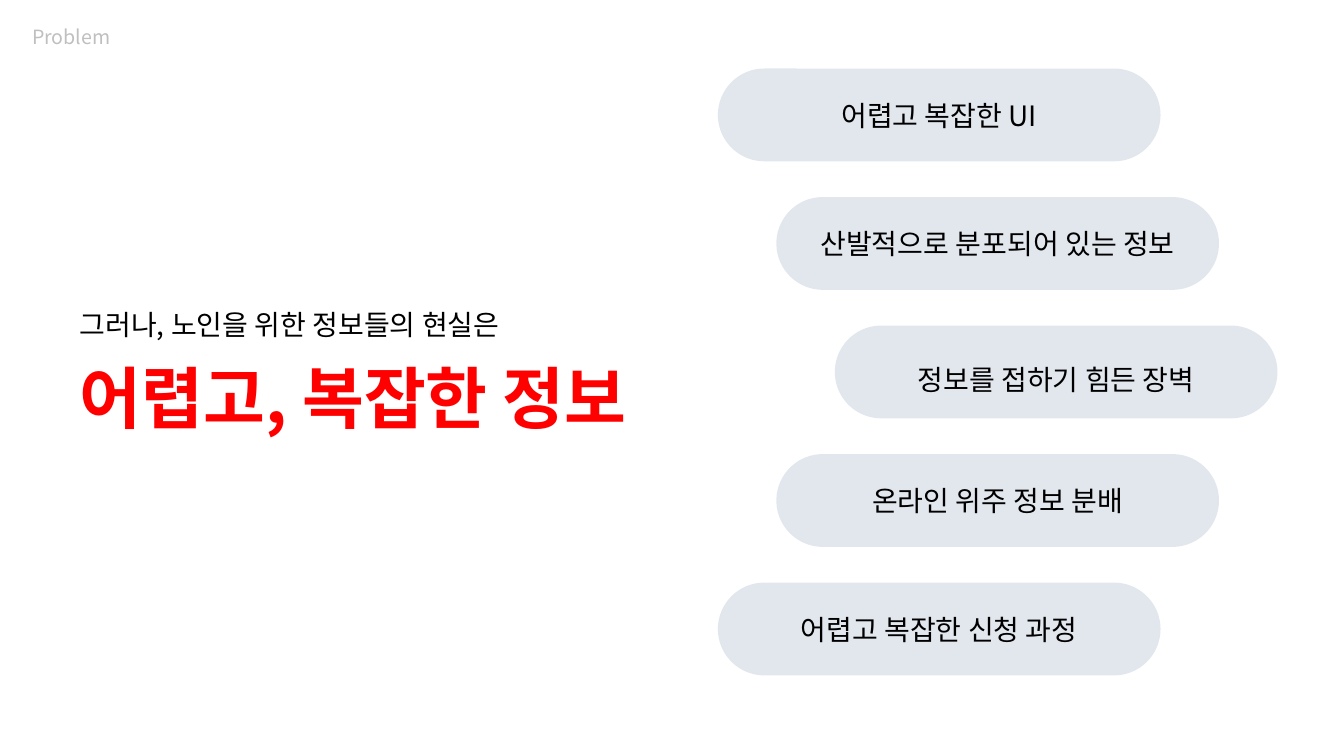
import pptx
import pptx.util
import pptx.dml.color
import pptx.enum.shapes
import pptx.enum.text
import pptx.oxml.ns
import lxml.etree

FONT = "Noto Sans CJK KR"
WIDE, HIGH = 13.33, 7.5
TAG = "Problem"
LEAD = "그러나, 노인을 위한 정보들의 현실은"
HEAD = "어렵고, 복잡한 정보"
PILLS = [
    ("어렵고 복잡한 UI", 0, 0),
    ("산발적으로 분포되어 있는 정보", 1, 0),
    ("정보를 접하기 힘든 장벽", 2, 0.14),
    ("온라인 위주 정보 분배", 1, 0),
    ("어렵고 복잡한 신청 과정", 0, 0),
]
LEFT, TOP = 7.12, 0.68
STEP, ROW = 0.58, 1.275
PILL = (4.39, 0.92)
ALIGN = pptx.enum.text.PP_ALIGN
ANCHOR = pptx.enum.text.MSO_ANCHOR


def paint(code):
    return pptx.dml.color.RGBColor.from_string(code)


def place(shape, *box):
    shape.left, shape.top, shape.width, shape.height = map(pptx.util.Inches, box)


def write(shape, text, size=20, color="000000", bold=False,
          align=ALIGN.LEFT, anchor=ANCHOR.TOP, drop=0):
    frame = shape.text_frame
    frame.word_wrap = True
    frame.auto_size = pptx.enum.text.MSO_AUTO_SIZE.NONE
    frame.vertical_anchor = anchor
    frame.margin_top = pptx.util.Inches(0.05 + drop)
    frame.text = text
    line = frame.paragraphs[0]
    line.alignment = align
    font = line.runs[0].font
    font.name, font.size, font.bold = FONT, pptx.util.Pt(size), bold
    font.color.rgb = paint(color)
    east = lxml.etree.SubElement(line.runs[0]._r.rPr, pptx.oxml.ns.qn("a:ea"))
    east.set("typeface", FONT)


deck = pptx.Presentation()
deck.slide_width = pptx.util.Inches(WIDE)
deck.slide_height = pptx.util.Inches(HIGH)
slide = deck.slides.add_slide(deck.slide_layouts[5])
shapes = slide.shapes

for text, box, look in [
    (TAG, (0.22, 0.2, WIDE / 2, 0.34), {"size": 14, "color": "BFBFBF"}),
    (LEAD, (0.69, 3, 6.3, 0.44), {}),
]:
    note = shapes.add_textbox(0, 0, 0, 0)
    place(note, *box)
    write(note, text, **look)

place(shapes.title, 0.69, 3.48, 6.3, 0.91)
write(shapes.title, HEAD, size=48, color="FF0000", bold=True)

for row, (text, step, drop) in enumerate(PILLS):
    pill = shapes.add_shape(pptx.enum.shapes.MSO_SHAPE.ROUNDED_RECTANGLE, 0, 0, 0, 0)
    place(pill, LEFT + step * STEP, TOP + row * ROW, *PILL)
    pill.adjustments[0] = 0.5
    pill.shadow.inherit = False
    pill.fill.solid()
    pill.fill.fore_color.rgb = paint("E2E7EE")
    pill.line.fill.background()
    write(pill, text, align=ALIGN.CENTER, anchor=ANCHOR.MIDDLE, drop=drop)

deck.save("out.pptx")
